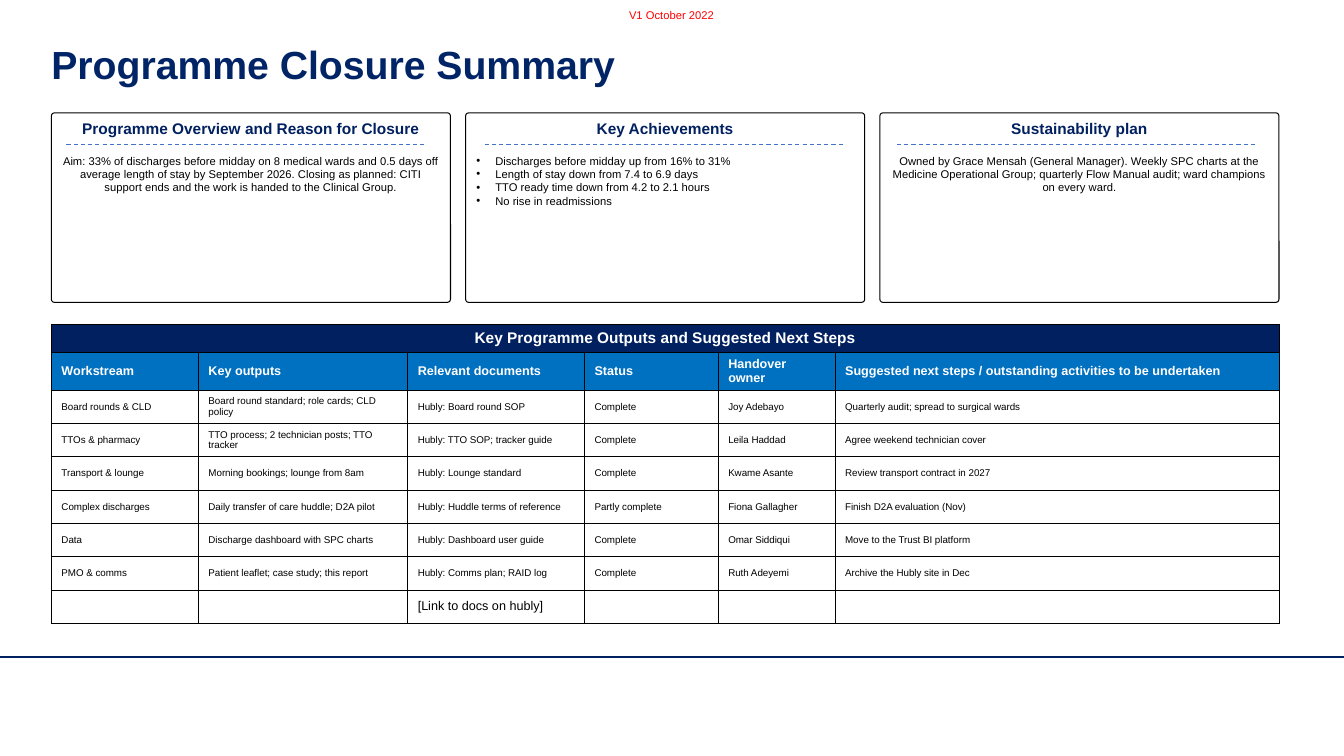
from itertools import accumulate
from lxml.etree import SubElement
from pptx import Presentation
from pptx.dml.color import RGBColor
from pptx.enum.dml import MSO_LINE_DASH_STYLE as DASH
from pptx.enum.shapes import MSO_CONNECTOR as CONNECTOR, MSO_SHAPE as SHAPE
from pptx.enum.text import MSO_ANCHOR as ANCHOR, MSO_AUTO_SIZE as AUTO_SIZE, PP_ALIGN as ALIGN
from pptx.oxml import parse_xml
from pptx.oxml.ns import nsdecls, qn
from pptx.util import Pt

NAVY, BLUE, WHITE, BLACK = "002060", "0070C0", "FFFFFF", "000000"
PAGE_WIDTH, PAGE_HEIGHT = 960, 540
LEFT = 36.7
CARD_TOP, CARD_WIDTH, CARD_HEIGHT, CARD_PITCH = 80.6, 285.1, 135.4, 295.9
RULE_TOP, RULE_WIDTH = 103, 256

CARDS = [
    ("Programme Overview and Reason for Closure", 10.8, False, [
        "Aim: 33% of discharges before midday on 8 medical wards and 0.5 days off "
        "average length of stay by September 2026. Closing as planned: CITI support "
        "ends and the work is handed to the Clinical Group."]),
    ("Key Achievements", 13.7, True, [
        "Discharges before midday up from 16% to 31%",
        "Length of stay down from 7.4 to 6.9 days",
        "TTO ready time down from 4.2 to 2.1 hours",
        "No rise in readmissions"]),
    ("Sustainability plan", 12.2, False, [
        "Owned by Grace Mensah (General Manager). Weekly SPC charts at the Medicine "
        "Operational Group; quarterly Flow Manual audit; ward champions on every ward."]),
]

TABLE_TITLE = "Key Programme Outputs and Suggested Next Steps"
HEADINGS = ["Workstream", "Key outputs", "Relevant documents", "Status", "Handover owner",
            "Suggested next steps / outstanding activities to be undertaken"]
OUTPUTS = [
    ["Board rounds & CLD", "Board round standard; role cards; CLD policy",
     "Hubly: Board round SOP", "Complete", "Joy Adebayo",
     "Quarterly audit; spread to surgical wards"],
    ["TTOs & pharmacy", "TTO process; 2 technician posts; TTO tracker",
     "Hubly: TTO SOP; tracker guide", "Complete", "Leila Haddad",
     "Agree weekend technician cover"],
    ["Transport & lounge", "Morning bookings; lounge from 8am",
     "Hubly: Lounge standard", "Complete", "Kwame Asante",
     "Review transport contract in 2027"],
    ["Complex discharges", "Daily transfer of care huddle; D2A pilot",
     "Hubly: Huddle terms of reference", "Partly complete", "Fiona Gallagher",
     "Finish D2A evaluation (Nov)"],
    ["Data", "Discharge dashboard with SPC charts",
     "Hubly: Dashboard user guide", "Complete", "Omar Siddiqui",
     "Move to the Trust BI platform"],
    ["PMO & comms", "Patient leaflet; case study; this report",
     "Hubly: Comms plan; RAID log", "Complete", "Ruth Adeyemi",
     "Archive the Hubly site in Dec"],
]
LINK_ROW = ["", "", "[Link to docs on hubly]", "", "", ""]
COLUMN_WIDTHS = [105, 149.5, 126.3, 95.5, 83.5, 317.2]
TITLE_ROW, HEADING_ROW, OUTPUT_ROW = 20, 27.1, 23.8


def colour(value):
    return RGBColor.from_string(value)


def style(para, size, ink, bold=False, align=ALIGN.LEFT):
    para.alignment = align
    for span in para.runs:
        span.font.name = "Arial"
        span.font.size = Pt(size)
        span.font.bold = bold
        span.font.color.rgb = colour(ink)


def add_title(page, text):
    title = page.shapes.title
    title.left, title.top, title.width, title.height = Pt(29.5), Pt(20.9), Pt(439), Pt(53.3)
    frame = title.text_frame
    frame.text = text
    frame.auto_size = AUTO_SIZE.NONE
    frame.vertical_anchor = ANCHOR.MIDDLE
    frame.paragraphs[0].line_spacing = 0.9
    style(frame.paragraphs[0], 28, "012467", True)


def add_rule(page, left, top, width, ink, weight, dash=None):
    rule = page.shapes.add_connector(
        CONNECTOR.STRAIGHT, Pt(left), Pt(top), Pt(left + width), Pt(top))
    rule.line.color.rgb = colour(ink)
    rule.line.width = Pt(weight)
    rule.line.dash_style = dash
    SubElement(rule.line._get_or_add_ln().getparent(), qn("a:effectLst"))


def add_bullet(para):
    properties = para._p.get_or_add_pPr()
    properties.set("marL", str(Pt(13.5)))
    properties.set("indent", str(Pt(-13.5)))
    SubElement(properties, qn("a:buFont"), typeface="Arial")
    SubElement(properties, qn("a:buChar"), char="•")


def add_card(page, left, heading, rule_inset, bulleted, lines):
    card = page.shapes.add_shape(
        SHAPE.ROUNDED_RECTANGLE, Pt(left), Pt(CARD_TOP), Pt(CARD_WIDTH), Pt(CARD_HEIGHT))
    card.adjustments[0] = 0.017
    card.shadow.inherit = False
    card.fill.solid()
    card.fill.fore_color.rgb = colour(WHITE)
    card.line.color.rgb = colour(BLACK)
    card.line.width = Pt(0.75)
    frame = card.text_frame
    frame.word_wrap = True
    frame.vertical_anchor = ANCHOR.TOP
    frame.text = heading
    frame.paragraphs[0].space_after = Pt(12)
    style(frame.paragraphs[0], 11, NAVY, True, ALIGN.CENTER)
    for line in lines:
        para = frame.add_paragraph()
        para.text = line
        if bulleted:
            add_bullet(para)
        style(para, 8, BLACK, align=ALIGN.LEFT if bulleted else ALIGN.CENTER)
    add_rule(page, left + rule_inset, RULE_TOP, RULE_WIDTH, "4472C4", 0.75, DASH.DASH)


def add_borders(cell):
    properties = cell._tc.get_or_add_tcPr()
    for position, side in enumerate("LRTB"):
        properties.insert(position, parse_xml(
            f'<a:ln{side} {nsdecls("a")} w="{Pt(0.5)}"><a:solidFill>'
            f'<a:srgbClr val="{BLACK}"/></a:solidFill></a:ln{side}>'))


def fill_cell(cell, text, size, ink, fill, bold, align):
    cell.fill.solid()
    cell.fill.fore_color.rgb = colour(fill)
    cell.vertical_anchor = ANCHOR.MIDDLE
    cell.margin_top = cell.margin_bottom = Pt(3)
    para = cell.text_frame.paragraphs[0]
    para.text = text
    style(para, size, ink, bold, align)
    if not text:
        SubElement(para._p, qn("a:endParaRPr"), sz=str(size * 100))
    add_borders(cell)


def add_outputs_table(page):
    rows = [([TABLE_TITLE] + [""] * 5, TITLE_ROW, 11, WHITE, NAVY, True, ALIGN.CENTER),
            (HEADINGS, HEADING_ROW, 9, WHITE, BLUE, True, ALIGN.LEFT)]
    rows += [(row, OUTPUT_ROW, 7, BLACK, WHITE, False, ALIGN.LEFT) for row in OUTPUTS]
    rows.append((LINK_ROW, OUTPUT_ROW, 9, BLACK, WHITE, False, ALIGN.LEFT))
    height = list(accumulate(row[1] for row in rows))[-1]
    table = page.shapes.add_table(
        len(rows), len(COLUMN_WIDTHS), Pt(LEFT), Pt(231.6),
        Pt(sum(COLUMN_WIDTHS)), Pt(height)).table
    for column, width in zip(table.columns, COLUMN_WIDTHS):
        column.width = Pt(width)
    for table_row, (texts, row_height, *look) in zip(table.rows, rows):
        table_row.height = Pt(row_height)
        for cell, text in zip(table_row.cells, texts):
            fill_cell(cell, text, *look)
    table.cell(0, 0).merge(table.cell(0, len(COLUMN_WIDTHS) - 1))


def add_version(page, text):
    box = page.shapes.add_textbox(Pt(393.3), Pt(2.2), Pt(172.8), Pt(17))
    box.text_frame.word_wrap = True
    box.text_frame.text = text
    style(box.text_frame.paragraphs[0], 8, "FF0000", align=ALIGN.CENTER)


def main():
    deck = Presentation()
    deck.slide_width, deck.slide_height = Pt(PAGE_WIDTH), Pt(PAGE_HEIGHT)
    page = deck.slides.add_slide(deck.slide_layouts[5])
    add_rule(page, 0, 469.4, PAGE_WIDTH, "002161", 1)
    add_title(page, "Programme Closure Summary")
    for index, card in enumerate(CARDS):
        add_card(page, LEFT + index * CARD_PITCH, *card)
    add_outputs_table(page)
    add_version(page, "V1 October 2022")
    deck.save("out.pptx")


if __name__ == "__main__":
    main()
